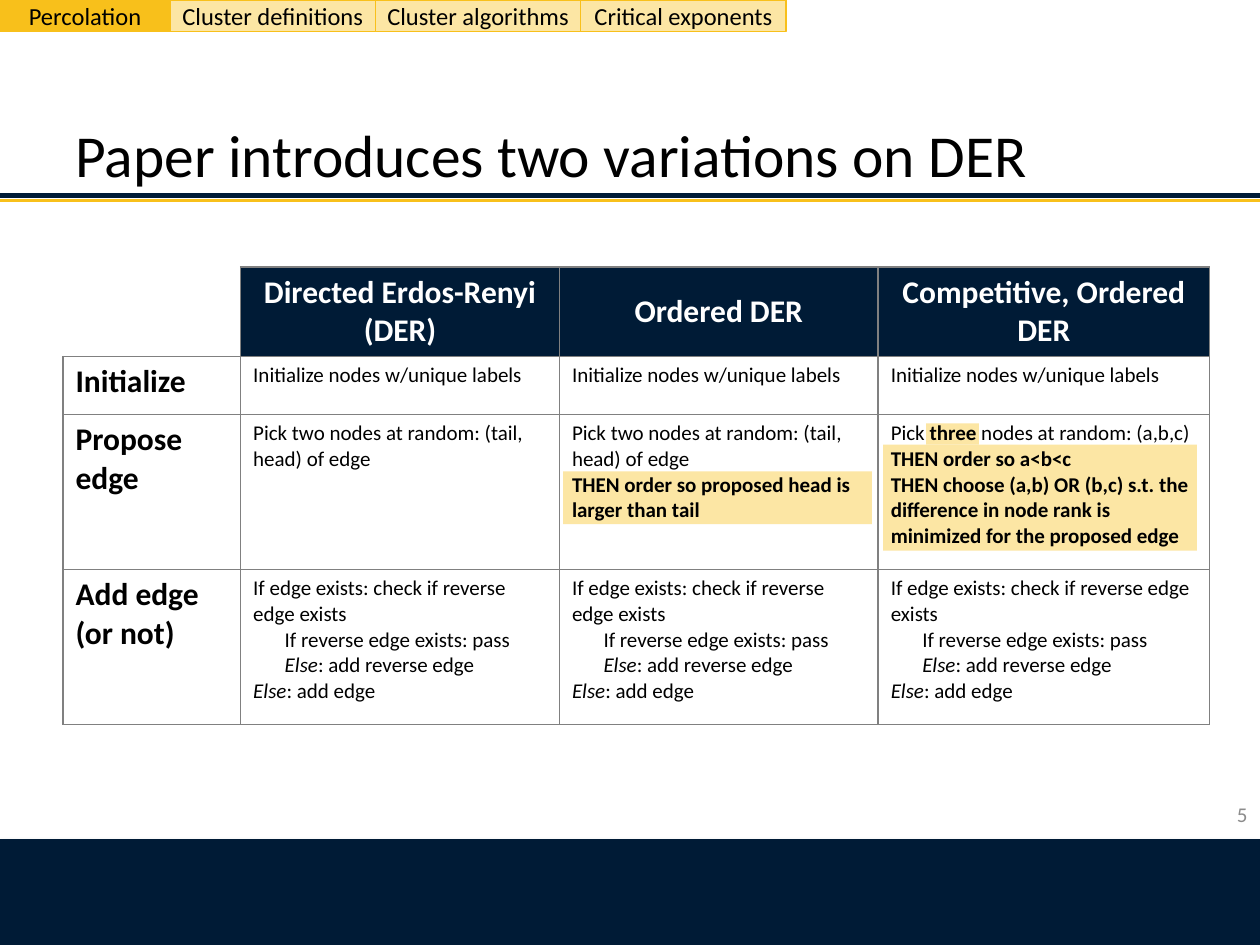
from lxml import etree
from pptx import Presentation
from pptx.dml.color import RGBColor
from pptx.enum.shapes import MSO_CONNECTOR, MSO_SHAPE
from pptx.enum.text import MSO_ANCHOR as Anchor, MSO_AUTO_SIZE, PP_ALIGN as Align
from pptx.oxml import parse_xml
from pptx.oxml.ns import nsdecls, qn
from pptx.util import Inches, Pt

NAVY, GOLD, CREAM = "001B36", "F8C01B", "FCE6A4"
BLACK, WHITE, GRAY = "000000", "FFFFFF", "808080"
color = RGBColor.from_string


def add_box(left, top, width, height, fill):
    box = slide.shapes.add_shape(MSO_SHAPE.RECTANGLE, Inches(left), Inches(top),
                                 Inches(width), Inches(height))
    box.shadow.inherit = False
    box.fill.solid()
    box.fill.fore_color.rgb = color(fill)
    box.line.fill.background()
    return box


def add_run(paragraph, text, size, hex_color, **formats):
    run = paragraph.add_run()
    run.text = text
    run.font.color.rgb = color(hex_color)
    for name, value in {"name": "Calibri", "size": Pt(size), **formats}.items():
        setattr(run.font, name, value)


presentation = Presentation()
presentation.slide_width, presentation.slide_height = Inches(10), Inches(7.5)
slide = presentation.slides.add_slide(presentation.slide_layouts[5])

# Footer band and the double rule under the title
footer = add_box(0, 6.66, 10, 0.84, NAVY)
footer_effects = footer._element.spPr.find(qn("a:effectLst"))
footer_effects.append(parse_xml(
    f'<a:outerShdw {nsdecls("a")} blurRad="{Pt(3.1)}" dist="{Pt(1.8)}" dir="5400000" '
    'rotWithShape="0"><a:srgbClr val="000000"><a:alpha val="35000"/></a:srgbClr></a:outerShdw>'))

for y, rule_color, width in [(1.59, GOLD, 2), (1.55, NAVY, 3)]:
    rule = slide.shapes.add_connector(MSO_CONNECTOR.STRAIGHT, 0, Inches(y), Inches(10), Inches(y))
    rule.line.color.rgb = color(rule_color)
    rule.line.width = Pt(width)
    etree.SubElement(rule._element.spPr, qn("a:effectLst"))

# Title
title = slide.shapes.title
title.left, title.top, title.width, title.height = (Inches(n) for n in (0.5, 0.3, 9, 1.25))
title.text_frame.vertical_anchor = Anchor.BOTTOM
title.text_frame.auto_size = MSO_AUTO_SIZE.NONE
title.text_frame.paragraphs[0].alignment = Align.LEFT
add_run(title.text_frame.paragraphs[0], "Paper introduces two variations on DER", 34, BLACK)

# Highlights that show through the unfilled table cells
for highlight in [(7.01, 3.53, 2.49, 0.84), (7.35, 3.36, 0.42, 0.17), (4.47, 3.74, 2.45, 0.42)]:
    add_box(*highlight, CREAM)

# Table: a cell is a list of paragraphs; a paragraph is (level, runs); a run is (text, style)
PLAIN, BOLD, ITALIC = {}, {"bold": True}, {"italic": True}
initialize = [(0, [("Initialize nodes w/unique labels", PLAIN)])]
pick_two = (0, [("Pick two nodes at random: (tail, head) of edge", PLAIN)])
add_edge = [
    (0, [("If edge exists: check if reverse edge exists", PLAIN)]),
    (1, [("If reverse edge exists: pass", PLAIN)]),
    (1, [("Else", ITALIC), (": add reverse edge", PLAIN)]),
    (0, [("Else", ITALIC), (": add edge", PLAIN)]),
]
rows = [
    [[]] + [[(0, [(line, BOLD)]) for line in lines] for lines in
            (["Directed Erdos-Renyi", "(DER)"], ["Ordered DER"], ["Competitive, Ordered DER"])],
    [[(0, [("Initialize", BOLD)])]] + [initialize] * 3,
    [
        [(0, [("Propose edge", BOLD)])],
        [pick_two],
        [pick_two, (0, [("THEN order so proposed head is larger than tail", BOLD)])],
        [
            (0, [("Pick ", PLAIN), ("three", BOLD), (" nodes at random: (a,b,c)", PLAIN)]),
            (0, [("THEN order so a<b<c", BOLD)]),
            (0, [("THEN choose (a,b) OR (b,c) s.t. the difference in node rank is "
                  "minimized for the proposed edge", BOLD)]),
        ],
    ],
    [[(0, [("Add edge (or not)", BOLD)])]] + [add_edge] * 3,
]
table = slide.shapes.add_table(4, 4, Inches(0.5), Inches(2.12), Inches(9.1), Inches(3.63)).table
table.first_row = table.horz_banding = False
for column, width in zip(table.columns, (1.41, 2.53, 2.53, 2.63)):
    column.width = Inches(width)
for row, height in zip(table.rows, (0.71, 0.46, 1.23, 1.23)):
    row.height = Inches(height)

for row_index, row in enumerate(rows):
    for column_index, content in enumerate(row):
        cell = table.cell(row_index, column_index)
        is_corner = row_index == column_index == 0
        is_header = row_index == 0 and not is_corner
        cell_properties = cell._tc.get_or_add_tcPr()
        for side in "LRTB":
            hidden = is_corner and side in "LT"
            paint = "<a:noFill/>" if hidden else f'<a:solidFill><a:srgbClr val="{GRAY}"/></a:solidFill>'
            cell_properties.append(parse_xml(
                f'<a:ln{side} {nsdecls("a")} w="{Pt(1)}">{paint}</a:ln{side}>'))
        if is_header:
            cell.fill.solid()
            cell.fill.fore_color.rgb = color(NAVY)
            cell.vertical_anchor = Anchor.MIDDLE
        else:
            cell.fill.background()

        frame = cell.text_frame
        size = 18 if row_index == 0 or column_index == 0 else 12
        for index, (level, runs) in enumerate(content):
            paragraph = frame.paragraphs[0] if index == 0 else frame.add_paragraph()
            paragraph.alignment = Align.CENTER if is_header else Align.LEFT
            if level:
                paragraph.level = level
                paragraph._p.get_or_add_pPr().set("marL", str(Inches(0.25)))
            for text, style in runs:
                add_run(paragraph, text, size, WHITE if is_header else BLACK,
                        **{"bold": False, **style})

# Section tabs
left = 0
for label, width, fill in [("Percolation", 1.35, GOLD), ("Cluster definitions", 1.63, CREAM),
                           ("Cluster algorithms", 1.63, CREAM), ("Critical exponents", 1.63, CREAM)]:
    tab = add_box(left, 0, width, 0.25, fill)
    tab.line.color.rgb = color(GOLD)
    tab.line.width = Pt(0.75)
    tab_format = {"margin_left": 0, "margin_right": 0, "margin_top": Inches(0.05),
                  "margin_bottom": Inches(0.05), "vertical_anchor": Anchor.MIDDLE}
    for name, value in tab_format.items():
        setattr(tab.text_frame, name, value)
    tab.text_frame.paragraphs[0].alignment = Align.CENTER
    add_run(tab.text_frame.paragraphs[0], label, 14, BLACK)
    left += width

# Slide number
number = slide.shapes.add_textbox(Inches(7.67), Inches(6.26), Inches(2.33), Inches(0.4))
number.text_frame.word_wrap = True
number.text_frame.vertical_anchor = Anchor.MIDDLE
number.text_frame.paragraphs[0].alignment = Align.RIGHT
add_run(number.text_frame.paragraphs[0], "5", 12, "8C8C8C")

presentation.save("out.pptx")
